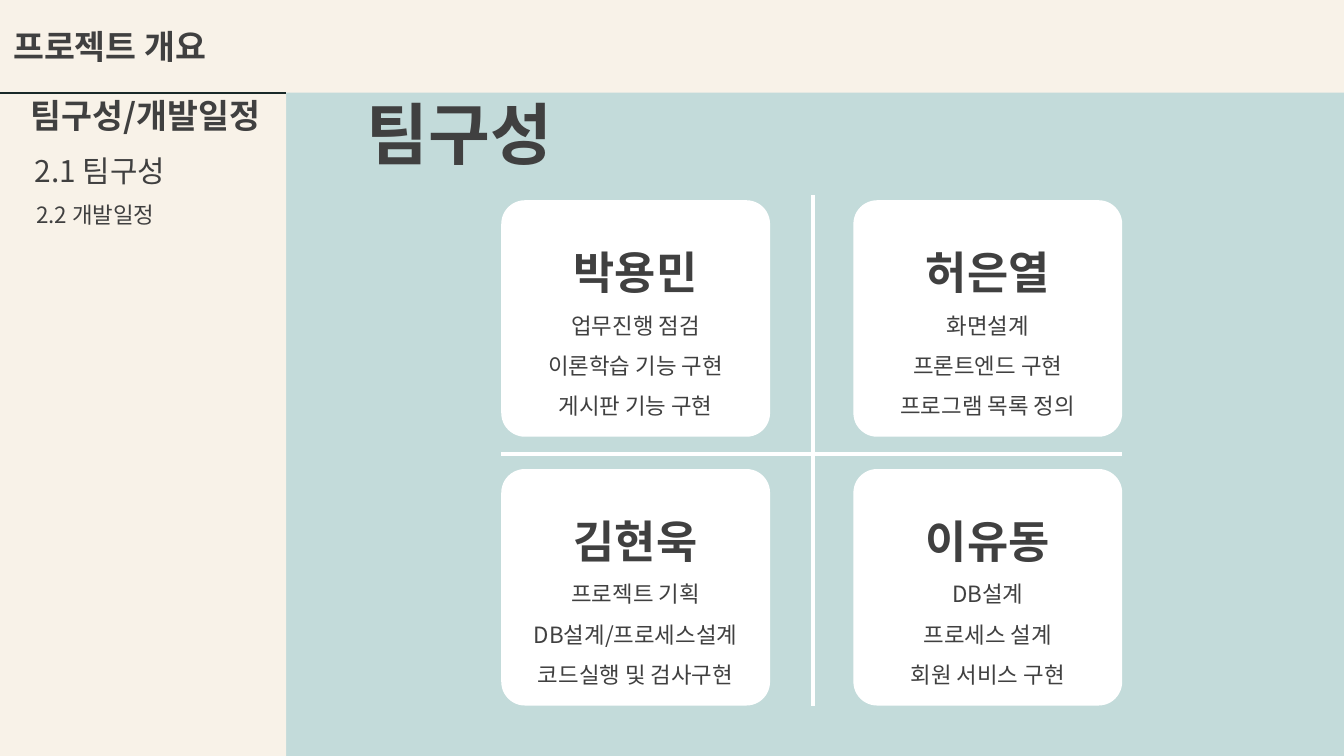
from lxml import etree
from pptx import Presentation
from pptx.dml.color import RGBColor
from pptx.enum.shapes import MSO_CONNECTOR, MSO_SHAPE
from pptx.enum.text import MSO_ANCHOR, MSO_AUTO_SIZE, PP_ALIGN
from pptx.oxml.ns import qn
from pptx.util import Inches, Pt

LINE = MSO_CONNECTOR.STRAIGHT
RECT = MSO_SHAPE.RECTANGLE
ROUND = MSO_SHAPE.ROUNDED_RECTANGLE
TOP, MIDDLE = MSO_ANCHOR.TOP, MSO_ANCHOR.MIDDLE
FIXED = MSO_AUTO_SIZE.NONE
LEFT, CENTER = PP_ALIGN.LEFT, PP_ALIGN.CENTER

FONT = "Noto Sans CJK KR"
COLORS = {"cream": "F8F2E8", "teal": "C3DBDA", "white": "FFFFFF",
          "text": "404040", "rule": "192928"}
WIDE = 10
HIGH = WIDE * 9 / 16
CARD_W, CARD_H = 2, 1.76
CARD_X, CARD_Y = 3.73, 1.49
STEP_X, STEP_Y = 2.62, 2
TEAM = [
    [("박용민", "업무진행 점검", "이론학습 기능 구현", "게시판 기능 구현"),
     ("허은열", "화면설계", "프론트엔드 구현", "프로그램 목록 정의")],
    [("김현욱", "프로젝트 기획", "DB설계/프로세스설계", "코드실행 및 검사구현"),
     ("이유동", "DB설계", "프로세스 설계", "회원 서비스 구현")],
]


def color(name):
    """Return the named colour."""
    return RGBColor.from_string(COLORS[name])


def style(para, size, bold=False, align=LEFT):
    """Format a paragraph and its runs, East Asian font included."""
    para.alignment = align
    for run in para.runs:
        run.font.name = FONT
        run.font.size = Pt(size)
        run.font.bold = bold
        run.font.color.rgb = color("text")
        east = etree.SubElement(run.font._element, qn("a:ea"))
        east.set("typeface", FONT)


def add_block(slide, kind, box, fill):
    """Add a filled shape without outline or shadow."""
    shape = slide.shapes.add_shape(kind, *map(Inches, box))
    shape.shadow.inherit = False
    shape.fill.solid()
    shape.fill.fore_color.rgb = color(fill)
    shape.line.fill.background()
    shape.text_frame.vertical_anchor = MIDDLE
    return shape


def add_rule(slide, start, end, tint, width):
    """Add a straight line without shadow."""
    rule = slide.shapes.add_connector(LINE, *map(Inches, start + end))
    rule.line.color.rgb = color(tint)
    rule.line.width = Pt(width)
    etree.SubElement(rule._element.spPr, qn("a:effectLst"))


def add_label(slide, box, text, size, bold=False, wrap=True):
    """Add a one-line text box."""
    frame = slide.shapes.add_textbox(*map(Inches, box)).text_frame
    frame.word_wrap = wrap
    frame.text = text
    style(frame.paragraphs[0], size, bold)


def add_card(slide, left, top, lines):
    """Add a member card with a name and duties."""
    card = add_block(slide, ROUND, (left, top, CARD_W, CARD_H), "white")
    card.adjustments[0] = 0.1
    frame = card.text_frame
    frame.text = "\n".join(lines)
    for i, para in enumerate(frame.paragraphs):
        style(para, 12 if i else 24, i == 0, CENTER)
        para.line_spacing = 1.5


def set_title(slide, text):
    """Place and format the title."""
    title = slide.shapes.title
    title.left, title.top = Inches(2.63), Inches(0.64)
    title.width, title.height = Inches(1.81), Inches(0.71)
    frame = title.text_frame
    frame.text = text
    frame.auto_size = FIXED
    frame.vertical_anchor = TOP
    style(frame.paragraphs[0], 36, True)


def add_header(slide, text):
    """Add the top band with its heading."""
    band = add_block(slide, RECT, (0, 0, WIDE, 0.69), "cream")
    band.text_frame.text = text
    style(band.text_frame.paragraphs[0], 18, True)


def main():
    """Build and save the team slide."""
    deck = Presentation()
    deck.slide_width, deck.slide_height = Inches(WIDE), Inches(HIGH)
    slide = deck.slides.add_slide(deck.slide_layouts[5])
    slide.background.fill.solid()
    slide.background.fill.fore_color.rgb = color("teal")
    set_title(slide, "팀구성")

    add_block(slide, RECT, (0, 0, 2.13, HIGH), "cream")
    add_label(slide, (0.13, 0.66, 2.09, 0.4), "팀구성/개발일정", 18, True)
    add_label(slide, (0.16, 1.09, 1.85, 0.37), "2.1 팀구성", 16)
    add_label(slide, (0.17, 1.45, 1.13, 0.3), "2.2 개발일정", 12, wrap=False)

    add_rule(slide, (3.73, 3.38), (8.35, 3.38), "white", 2.25)
    add_rule(slide, (6.05, 5.25), (6.05, 1.45), "white", 2.25)
    for row, members in enumerate(TEAM):
        for col, lines in enumerate(members):
            add_card(slide, CARD_X + col * STEP_X, CARD_Y + row * STEP_Y, lines)

    add_header(slide, "프로젝트 개요")
    add_rule(slide, (0, 0.69), (2.13, 0.69), "rule", 1)
    deck.save("out.pptx")


if __name__ == "__main__":
    main()
